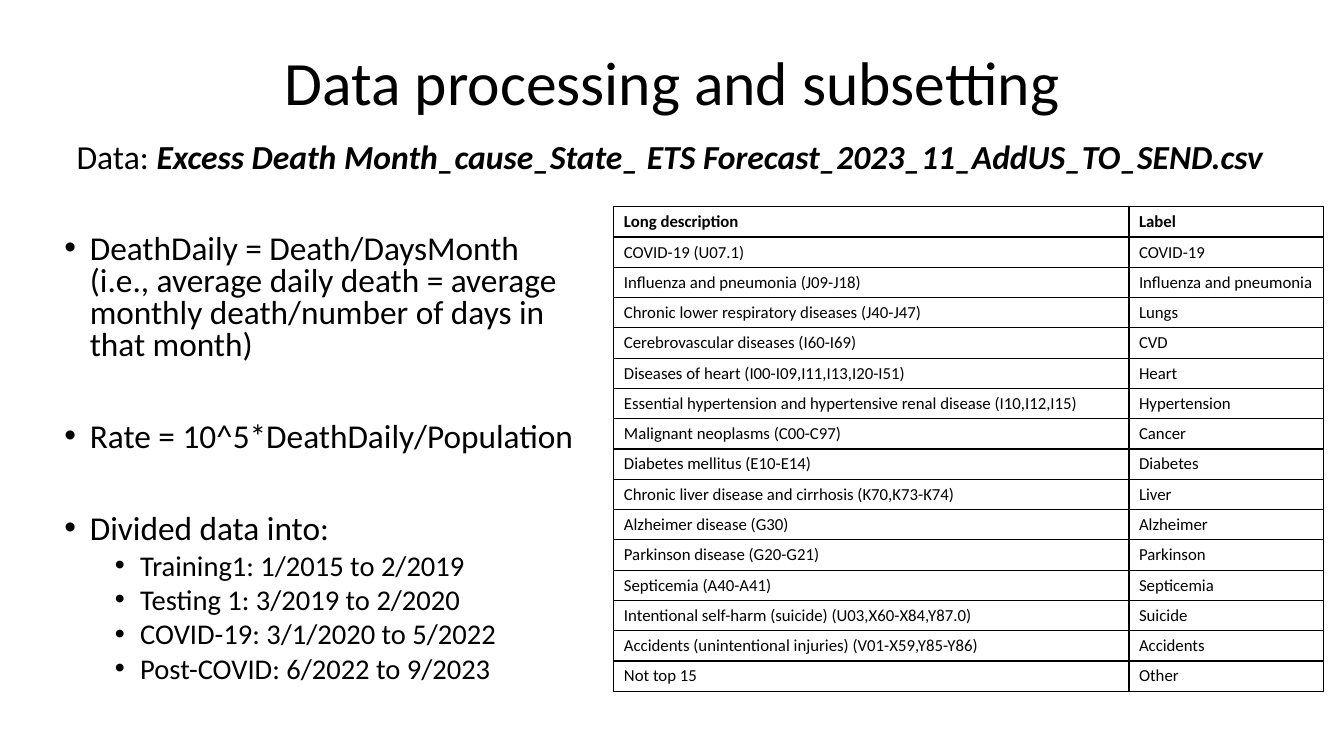
from dataclasses import dataclass

from lxml.etree import SubElement
from pptx import Presentation
from pptx.dml.color import RGBColor as Rgb
from pptx.enum.text import MSO_ANCHOR as Anchor, MSO_AUTO_SIZE as Fit, PP_ALIGN as Align
from pptx.oxml.ns import qn
from pptx.util import Cm, Pt


@dataclass(frozen=True)
class Theme:
    """Colours, font and type sizes of the deck."""
    face: str = "Calibri"
    ink: str = "000000"
    paper: str = "FFFFFF"
    title: float = 44
    note: float = 24
    item: float = 23.8
    minor: float = 20.4
    cell: float = 12


THEME = Theme()

ITEMS = [
    (0, 0, "DeathDaily = Death/DaysMonth (i.e., average daily death = "
           "average monthly death/number of days in that month)"),
    (0, 43, "Rate = 10^5*DeathDaily/Population"),
    (0, 43, "Divided data into:"),
    (1, 5, "Training1: 1/2015 to 2/2019"),
    (1, 5, "Testing 1: 3/2019 to 2/2020"),
    (1, 5, "COVID-19: 3/1/2020 to 5/2022"),
    (1, 5, "Post-COVID: 6/2022 to 9/2023"),
]

CAUSES = [
    ("Long description", "Label"),
    ("COVID-19 (U07.1)", "COVID-19"),
    ("Influenza and pneumonia (J09-J18)", "Influenza and pneumonia"),
    ("Chronic lower respiratory diseases (J40-J47)", "Lungs"),
    ("Cerebrovascular diseases (I60-I69)", "CVD"),
    ("Diseases of heart (I00-I09,I11,I13,I20-I51)", "Heart"),
    ("Essential hypertension and hypertensive renal disease (I10,I12,I15)", "Hypertension"),
    ("Malignant neoplasms (C00-C97)", "Cancer"),
    ("Diabetes mellitus (E10-E14)", "Diabetes"),
    ("Chronic liver disease and cirrhosis (K70,K73-K74)", "Liver"),
    ("Alzheimer disease (G30)", "Alzheimer"),
    ("Parkinson disease (G20-G21)", "Parkinson"),
    ("Septicemia (A40-A41)", "Septicemia"),
    ("Intentional self-harm (suicide) (U03,X60-X84,Y87.0)", "Suicide"),
    ("Accidents (unintentional injuries) (V01-X59,Y85-Y86)", "Accidents"),
    ("Not top 15", "Other"),
]


def apply(thing, **values):
    """Set each named attribute on the given object."""
    for name, value in values.items():
        setattr(thing, name, value)


def place(shape, box):
    """Move a shape to a box of left, top, width and height in centimetres."""
    left, top, width, height = map(Cm, box)
    apply(shape, left=left, top=top, width=width, height=height)


def write(para, text, size, **style):
    """Add a run in the theme's font and ink."""
    run = para.add_run()
    run.text = text
    apply(run.font, name=THEME.face, size=Pt(size), **style)
    run.font.color.rgb = Rgb.from_string(THEME.ink)


def bullet(para, left, hang):
    """Give a paragraph a round bullet with a hanging indent."""
    props = para._p.get_or_add_pPr()
    props.set("marL", str(Cm(left)))
    props.set("indent", str(-Cm(hang)))
    SubElement(props, qn("a:buFont"), typeface="Arial")
    SubElement(props, qn("a:buChar"), char="•")


def border(cell):
    """Draw a thin line on all four sides of a cell."""
    props = cell._tc.get_or_add_tcPr()
    for side in ("lnL", "lnR", "lnT", "lnB"):
        line = SubElement(props, qn(f"a:{side}"), w=str(Pt(1)))
        fill = SubElement(line, qn("a:solidFill"))
        SubElement(fill, qn("a:srgbClr"), val=THEME.ink)


def head(slide, box):
    """Fill the title placeholder."""
    shape = slide.shapes.title
    place(shape, box)
    frame = shape.text_frame
    apply(frame, auto_size=Fit.NONE, vertical_anchor=Anchor.MIDDLE, word_wrap=True)
    para = frame.paragraphs[0]
    apply(para, alignment=Align.CENTER, line_spacing=0.9)
    write(para, "Data processing and subsetting", THEME.title)


def steps(slide, box):
    """Fill the body placeholder with the two-level list."""
    shape = slide.placeholders[1]
    place(shape, box)
    frame = shape.text_frame
    apply(frame, auto_size=Fit.NONE, vertical_anchor=Anchor.TOP, word_wrap=True)
    for num, (level, gap, text) in enumerate(ITEMS):
        para = frame.add_paragraph() if num else frame.paragraphs[0]
        apply(para, level=level, line_spacing=0.8, space_before=Pt(gap))
        bullet(para, 0.64 + 1.27 * level, 0.64)
        write(para, text, THEME.minor if level else THEME.item)


def source(slide, box):
    """Name the data file under the title."""
    frame = slide.shapes.add_textbox(*map(Cm, box)).text_frame
    frame.word_wrap = True
    para = frame.paragraphs[0]
    write(para, "Data: ", THEME.note)
    write(para, "Excess Death Month_cause_State_ ETS Forecast_2023_11_AddUS_TO_SEND.csv",
          THEME.note, bold=True, italic=True)


def causes(slide, box):
    """Build the table of causes of death and their labels."""
    shape = slide.shapes.add_table(len(CAUSES), 2, *map(Cm, box))
    grid = shape.table
    apply(grid, first_row=False, horz_banding=False)
    wide = 12.98
    for col, width in zip(grid.columns, (wide, box[2] - wide)):
        col.width = Cm(width)
    for num, pair in enumerate(CAUSES):
        grid.rows[num].height = Cm(box[3] / len(CAUSES))
        for col, text in enumerate(pair):
            cell = grid.cell(num, col)
            border(cell)
            cell.fill.solid()
            cell.fill.fore_color.rgb = Rgb.from_string(THEME.paper)
            write(cell.text_frame.paragraphs[0], text, THEME.cell, bold=num == 0)


def main():
    """Build the slide and save it."""
    deck = Presentation()
    apply(deck, slide_width=Cm(33.87), slide_height=Cm(19.05))
    slide = deck.slides.add_slide(deck.slide_layouts[1])
    head(slide, (2.34, 1.02, 29.21, 2.29))
    steps(slide, (1.37, 5.79, 13.56, 11.61))
    source(slide, (1.68, 3.3, 31.06, 1.27))
    causes(slide, (15.47, 5.21, 17.88, 12.19))
    deck.save("out.pptx")


if __name__ == "__main__":
    main()
